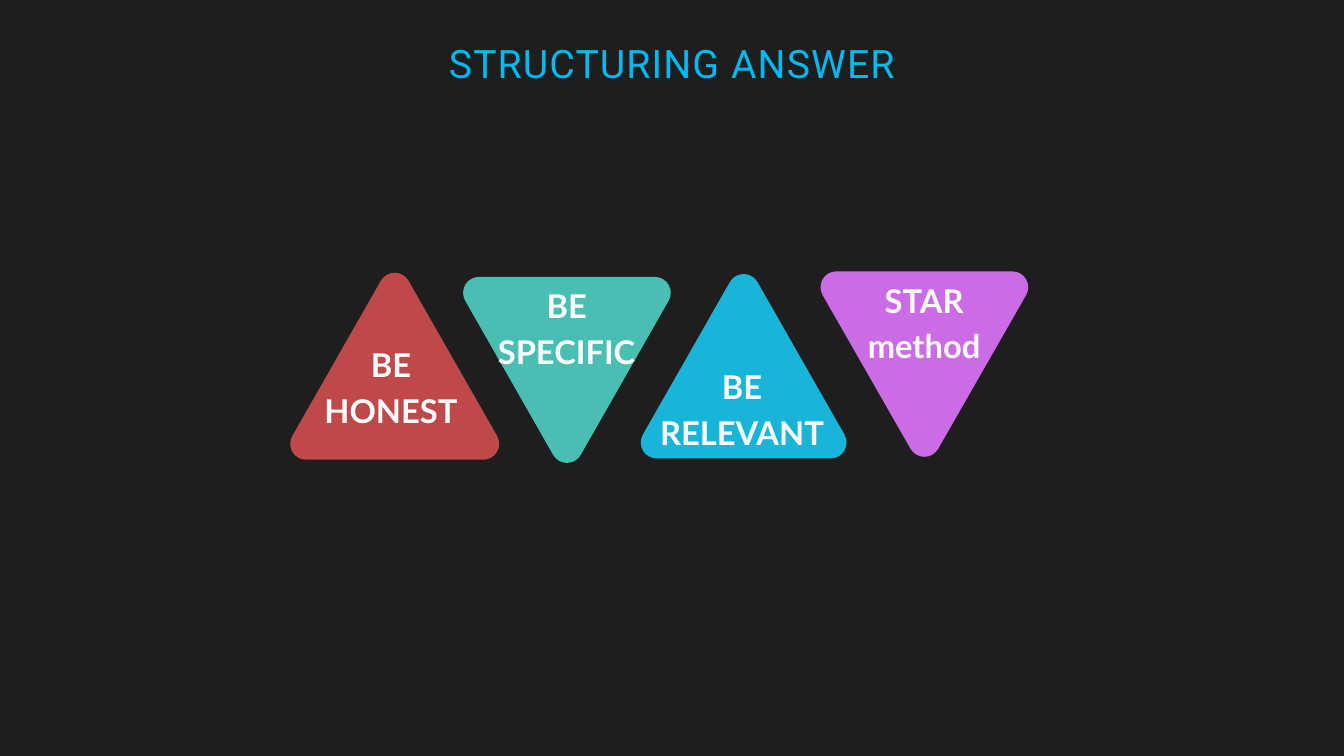
from dataclasses import dataclass
from math import cos, radians, sin, tan

from pptx import Presentation
from pptx.dml.color import RGBColor
from pptx.enum.text import MSO_ANCHOR, PP_ALIGN
from pptx.oxml.ns import qn
from pptx.util import Cm, Pt

CENTER = PP_ALIGN.CENTER
TOP = MSO_ANCHOR.TOP

COLORS = {
    "background": "1E1E1E",
    "title": "00B9EF",
    "label": "FCFCFC",
    "teal": "49BFB3",
    "red": "BF4949",
    "blue": "18B5D9",
    "purple": "CB6CE6",
}
CORNER_RADIUS = 0.6
LABEL_HEIGHT = 3.33
HANDLE = 4 / 3 * tan(radians(15))  # Bezier handle of a 60 degree arc, in radii
STEPS_PER_CORNER = 7  # two curves of three points, then one straight side


@dataclass
class Tip:
    """One triangle with its label; lengths in centimetres."""
    text: str
    color: str
    center: float
    top: float
    width: float
    height: float
    points_up: bool
    label_center: float
    label_top: float
    label_width: float = 5.23


TIPS = [
    Tip("BE SPECIFIC", "teal", 21.43, 10.47, 7.85, 7.03, False, 21.42, 10.57),
    Tip("BE HONEST", "red", 14.92, 10.31, 7.9, 7.07, True, 14.78, 12.8),
    Tip("BE RELEVANT", "blue", 28.11, 10.36, 7.78, 6.97, True, 28.05, 13.62, 6.3),
    Tip("STAR method", "purple", 34.94, 10.26, 7.85, 7.01, False, 34.93, 10.36),
]


def rgb(name: str) -> RGBColor:
    return RGBColor.from_string(COLORS[name])


def triangle_outline(tip: Tip) -> list[tuple[int, int]]:
    """End points and curve handles of a triangle with rounded corners."""
    r = CORNER_RADIUS
    reach = tip.width / 2 - r
    # Corner centre from the middle and the apex side, and first arc angle
    corners = [(0, r, 210), (reach, tip.height - r, 330), (-reach, tip.height - r, 90)]
    points = []
    for corner_x, corner_y, start in corners:
        arc = [(start, 0)]
        for angle in (start, start + 60):
            arc += [(angle, HANDLE), (angle + 60, -HANDLE), (angle + 60, 0)]
        for angle, handle in arc:
            c, s = cos(radians(angle)), sin(radians(angle))
            x = corner_x + r * (c - handle * s)
            y = corner_y + r * (s + handle * c)
            if not tip.points_up:
                y = tip.height - y
            points.append((Cm(tip.center + x), Cm(tip.top + y)))
    return points


def round_corners(triangle) -> None:
    """Join each three corner points of the outline into one Bezier curve."""
    segments = list(triangle._element.iter(qn("a:lnTo")))
    for index, segment in enumerate(segments):
        if index % STEPS_PER_CORNER in (0, 3):
            segment.tag = qn("a:cubicBezTo")
            for following in segments[index + 1:index + 3]:
                segment.append(following[0])
                following.getparent().remove(following)


def add_text(shapes, text: str, left: float, top: float, width: float, height: float,
             font_name: str, size: float, color: str, line_spacing: float, bold: bool = False):
    box = shapes.add_textbox(Cm(left), Cm(top), Cm(width), Cm(height))
    frame = box.text_frame
    frame.word_wrap = True
    frame.vertical_anchor = TOP
    frame.margin_left = frame.margin_right = frame.margin_top = frame.margin_bottom = 0
    frame.text = text
    paragraph = frame.paragraphs[0]
    paragraph.alignment = CENTER
    paragraph.line_spacing = Pt(line_spacing)
    run = paragraph.runs[0]
    run.font.name = font_name
    run.font.size = Pt(size)
    run.font.bold = bold
    run.font.color.rgb = rgb(color)
    return run


def add_tip(slide, tip: Tip) -> None:
    shapes = slide.shapes.add_group_shape().shapes
    first, *others = triangle_outline(tip)
    builder = shapes.build_freeform(*first)
    builder.add_line_segments(others, close=True)
    triangle = builder.convert_to_shape()
    round_corners(triangle)
    triangle.shadow.inherit = False
    triangle.fill.solid()
    triangle.fill.fore_color.rgb = rgb(tip.color)
    triangle.line.fill.background()
    add_text(shapes, tip.text, tip.label_center - tip.label_width / 2, tip.label_top,
             tip.label_width, LABEL_HEIGHT, "Lato", 35, "label", 49, bold=True)


def main() -> None:
    prs = Presentation()
    prs.slide_width, prs.slide_height = Cm(50.8), Cm(28.58)
    slide = prs.slides.add_slide(prs.slide_layouts[6])
    slide.background.fill.solid()
    slide.background.fill.fore_color.rgb = rgb("background")

    # Row of triangles
    for tip in TIPS:
        add_tip(slide, tip)

    # Title with slightly wider letter spacing
    title = add_text(slide.shapes, "STRUCTURING ANSWER", 9.41, 1.32, 31.98, 1.93,
                     "Roboto", 42, "title", 55)
    title.font._element.set("spc", "120")

    prs.save("out.pptx")


if __name__ == "__main__":
    main()
